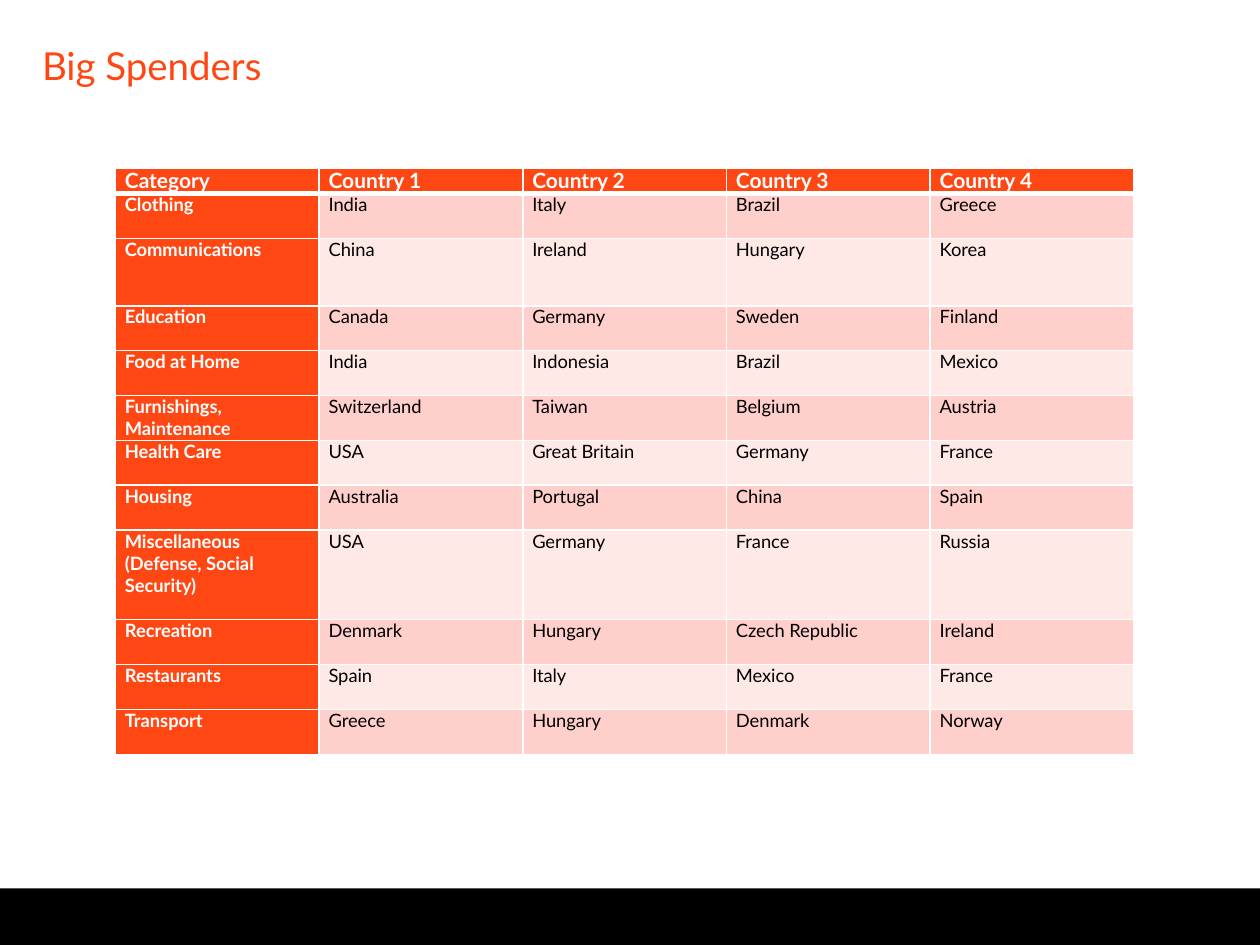
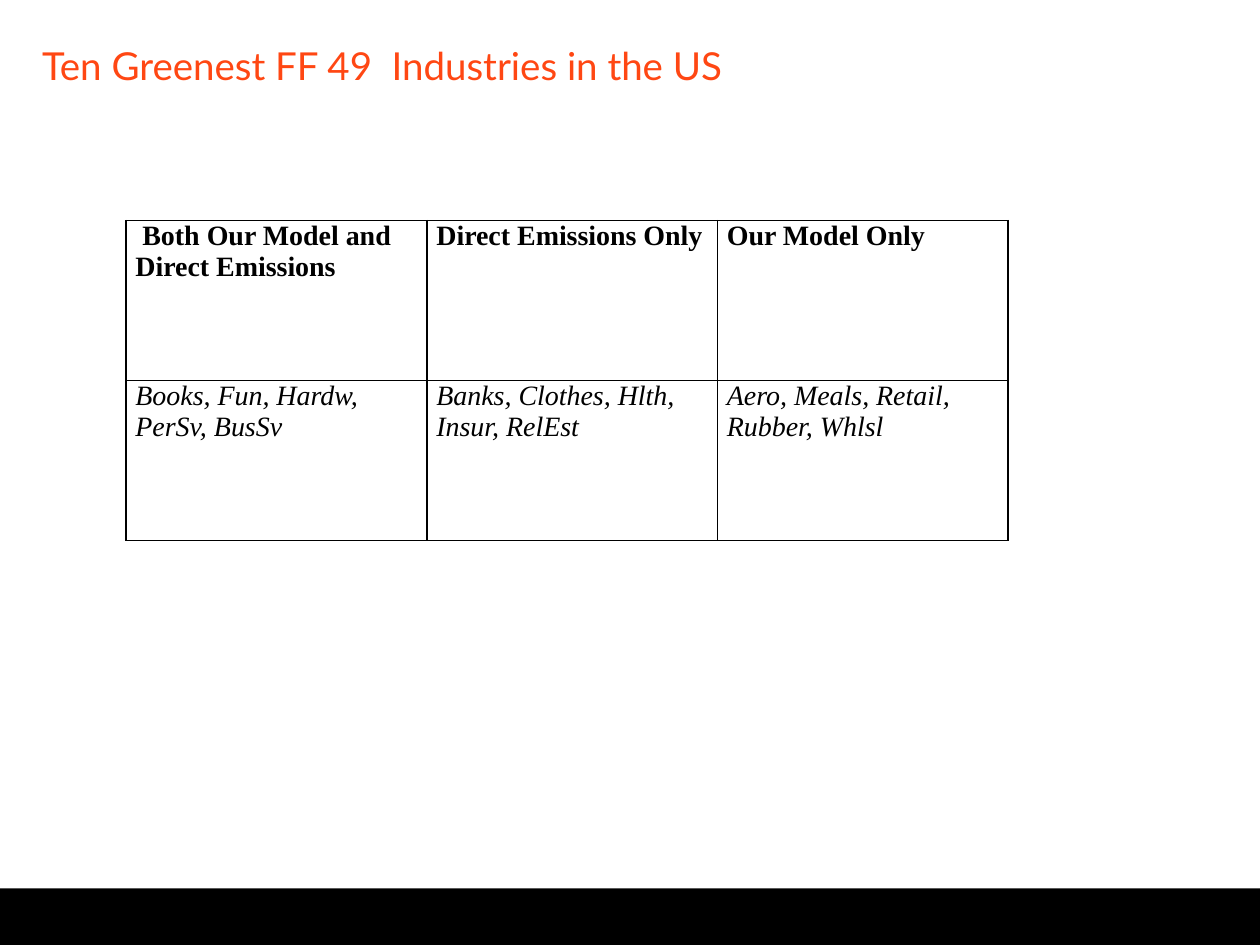
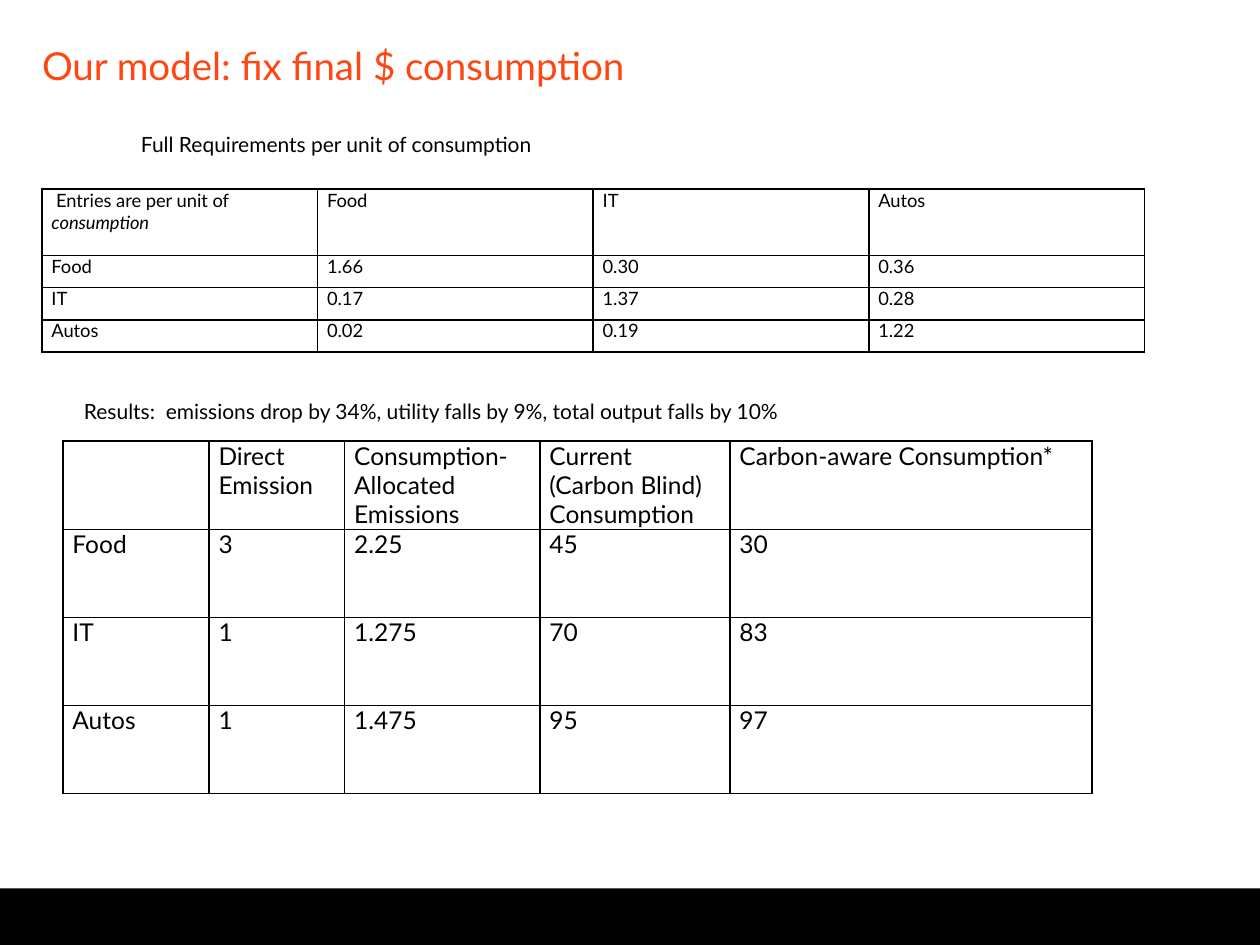
from lxml import etree
from pptx import Presentation
from pptx.dml.color import RGBColor
from pptx.enum.shapes import MSO_SHAPE
from pptx.enum.text import MSO_ANCHOR, MSO_AUTO_SIZE, PP_ALIGN
from pptx.oxml.ns import qn
from pptx.util import Pt

RECTANGLE = MSO_SHAPE.RECTANGLE
TOP = MSO_ANCHOR.TOP
NO_AUTOFIT = MSO_AUTO_SIZE.NONE
LEFT = PP_ALIGN.LEFT

ORANGE, BLACK, WHITE = "FF4713", "000000", "FFFFFF"
DARK_BAND, LIGHT_BAND = "FFCFCC", "FFE9E7"
SANS, SERIF = "Lato", "Times New Roman"


def write_text(paragraph, text, size=12, font=SANS, color=BLACK, bold=False, italic=False):
    paragraph.alignment = LEFT
    run = paragraph.add_run()
    run.text = text
    run.font.size = Pt(size)
    run.font.name = font
    run.font.bold = bold
    run.font.italic = italic
    run.font.color.rgb = RGBColor.from_string(color)


def add_grid(slide, rows, left, top, widths, heights, text_format, line_color=BLACK):
    frame = slide.shapes.add_table(len(rows), len(widths), Pt(left), Pt(top),
                                   Pt(sum(widths)), Pt(sum(heights)))
    table = frame.table
    table.first_row = table.horz_banding = False
    for column, width in zip(table.columns, widths):
        column.width = Pt(width)
    for row, height in zip(table.rows, heights):
        row.height = Pt(height)
    for row_index, texts in enumerate(rows):
        for column_index, text in enumerate(texts):
            cell = table.cell(row_index, column_index)
            cell.margin_left = cell.margin_right = Pt(5.4)
            cell.margin_top = cell.margin_bottom = 0
            properties = cell._tc.get_or_add_tcPr()
            for side in ("a:lnL", "a:lnR", "a:lnT", "a:lnB"):
                line = etree.SubElement(properties, qn(side), w=str(Pt(1)))
                fill = etree.SubElement(line, qn("a:solidFill"))
                etree.SubElement(fill, qn("a:srgbClr"), val=line_color)
            cell.fill.background()
            if text:
                write_text(cell.text_frame.paragraphs[0], text,
                           **text_format(row_index, column_index))
    return table


presentation = Presentation()
presentation.slide_width = Pt(720)
presentation.slide_height = Pt(540)
layout = presentation.slide_layouts.get_by_name("Title Only")

slides = []
for title_text in ("Big Spenders",
                   "Ten Greenest FF 49  Industries in the US",
                   "Our model: fix final $ consumption"):
    slide = presentation.slides.add_slide(layout)
    title = slide.shapes.title
    title.left, title.top, title.width, title.height = Pt(24), Pt(24), Pt(672), Pt(47)
    frame = title.text_frame
    frame.margin_left = frame.margin_top = frame.margin_right = frame.margin_bottom = 0
    frame.vertical_anchor = TOP
    frame.auto_size = NO_AUTOFIT
    write_text(frame.paragraphs[0], title_text, size=22, color=ORANGE)
    slides.append(slide)
spenders_slide, industries_slide, model_slide = slides

band = spenders_slide.shapes.add_shape(RECTANGLE, 0, Pt(507.6), Pt(720), Pt(32.4))
band.shadow.inherit = False
band.fill.solid()
band.fill.fore_color.rgb = RGBColor.from_string(BLACK)
band.line.fill.background()
presentation.slide_master.shapes.element.insert(2, band.element)

spenders = [
    ("Category", "Country 1", "Country 2", "Country 3", "Country 4"),
    ("Clothing", "India", "Italy", "Brazil", "Greece"),
    ("Communications", "China", "Ireland", "Hungary", "Korea"),
    ("Education", "Canada", "Germany", "Sweden", "Finland"),
    ("Food at Home", "India", "Indonesia", "Brazil", "Mexico"),
    ("Furnishings, Maintenance", "Switzerland", "Taiwan", "Belgium", "Austria"),
    ("Health Care", "USA", "Great Britain", "Germany", "France"),
    ("Housing", "Australia", "Portugal", "China", "Spain"),
    ("Miscellaneous (Defense, Social Security)", "USA", "Germany", "France", "Russia"),
    ("Recreation", "Denmark", "Hungary", "Czech Republic", "Ireland"),
    ("Restaurants", "Spain", "Italy", "Mexico", "France"),
    ("Transport", "Greece", "Hungary", "Denmark", "Norway"),
]
row_heights = [14.6, 25.65, 38.5] + [25.65] * 5 + [51.3] + [25.65] * 3
spenders_table = add_grid(
    spenders_slide, spenders, 66, 96, [116.4] * 5, row_heights,
    lambda row, column: {
        "size": 10.5 if row else 12,
        "bold": row == 0 or column == 0,
        "color": WHITE if row == 0 or column == 0 else BLACK,
    }, WHITE)
for row_index, row in enumerate(spenders_table.rows):
    for column_index, cell in enumerate(row.cells):
        if row_index == 0 or column_index == 0:
            fill_color = ORANGE
        else:
            fill_color = DARK_BAND if row_index % 2 else LIGHT_BAND
        cell.fill.solid()
        cell.fill.fore_color.rgb = RGBColor.from_string(fill_color)
        if row_index == 0:
            cell._tc.tcPr.find(qn("a:lnB")).set("w", str(Pt(3)))

industries = [
    (" Both Our Model and Direct Emissions", "Direct Emissions Only", "Our Model Only"),
    ("Books, Fun, Hardw, PerSv, BusSv", "Banks, Clothes, Hlth, Insur, RelEst",
     "Aero, Meals, Retail, Rubber, Whlsl"),
]
add_grid(industries_slide, industries, 72, 126, [172, 166, 166], [91.5] * 2,
         lambda row, column: {"size": 16, "font": SERIF, "bold": row == 0, "italic": row == 1})

consumption = [
    ("", "Direct", "Consumption-Allocated Emissions", "Current (Carbon Blind) Consumption",
     "Carbon-aware Consumption*"),
    ("Food", "3", "2.25", "45", "30"),
    ("IT", "1", "1.275", "70", "83"),
    ("Autos", "1", "1.475", "95", "97"),
]
consumption_table = add_grid(model_slide, consumption, 36, 252, [83.5, 77.5, 111.6, 108.6, 206.8],
                             [50.3] * 4, lambda row, column: {"size": 14})
write_text(consumption_table.cell(0, 1).text_frame.add_paragraph(), "Emission", size=14)

requirements = [
    (" Entries are per unit of ", "Food", "IT", "Autos"),
    ("Food", "1.66", "0.30", "0.36"),
    ("IT", "0.17", "1.37", "0.28"),
    ("Autos", "0.02", "0.19", "1.22"),
]
requirements_table = add_grid(model_slide, requirements, 24, 108, [157.5] * 4,
                              [38] + [18.4] * 3, lambda row, column: {"size": 10.5})
write_text(requirements_table.cell(0, 0).text_frame.paragraphs[0], "consumption",
           size=10.5, italic=True)

captions = [
    ("Full Requirements per unit of consumption", 80.6, 75, 282, 27),
    ("Results:  emissions drop by 34%, utility falls by 9%, total output falls by 10%",
     48, 228, 492, 24),
]
for text, left, top, width, height in captions:
    caption = model_slide.shapes.add_textbox(Pt(left), Pt(top), Pt(width), Pt(height))
    frame = caption.text_frame
    frame.word_wrap = True
    frame.margin_left = frame.margin_top = frame.margin_right = frame.margin_bottom = 0
    write_text(frame.paragraphs[0], text)

presentation.save("out.pptx")
